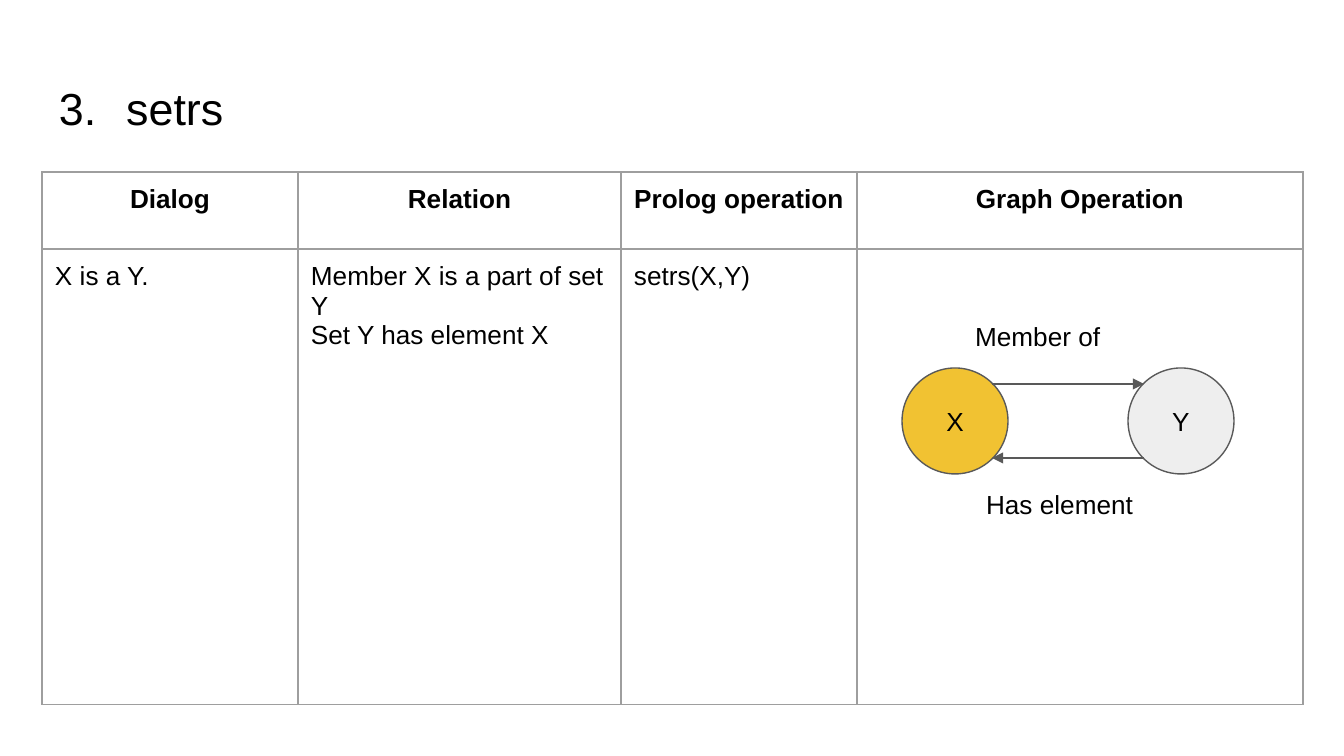
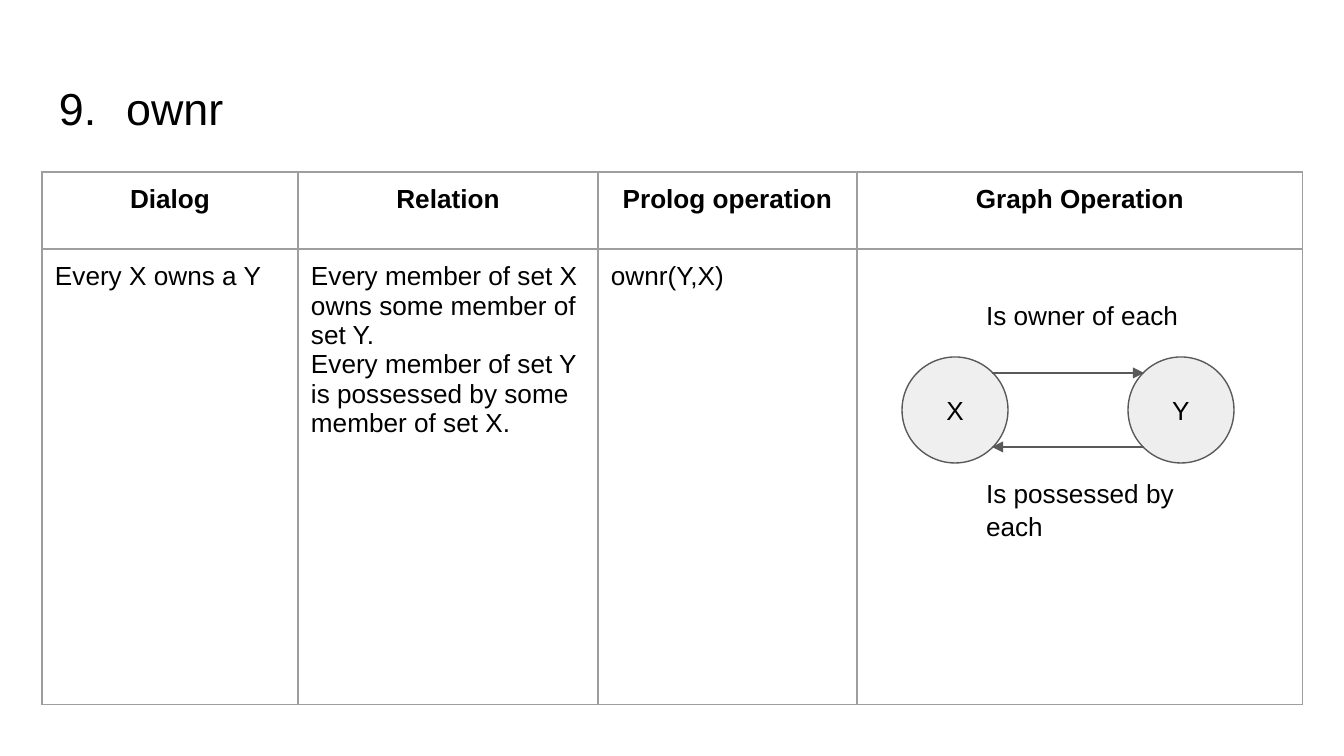
"""Builds two slides that tabulate a dialog relation and draw its graph."""
from math import sqrt

from lxml import etree
from pptx import Presentation
from pptx.dml.color import RGBColor
from pptx.enum.shapes import MSO_CONNECTOR, MSO_SHAPE
from pptx.enum.text import MSO_ANCHOR, PP_ALIGN
from pptx.oxml.ns import qn
from pptx.util import Emu, Pt

CENTER, LEFT = PP_ALIGN.CENTER, PP_ALIGN.LEFT
TOP, MIDDLE = MSO_ANCHOR.TOP, MSO_ANCHOR.MIDDLE
OVAL, STRAIGHT = MSO_SHAPE.OVAL, MSO_CONNECTOR.STRAIGHT

COLORS = {
    "text": "000000",
    "border": "9E9E9E",
    "line": "595959",
    "gold": "F1C232",
    "pale": "EFEFEF",
    "gray": "EEEEEE",
}
FONT = "Arial"
HEADERS = ["Dialog", "Relation", "Prolog operation", "Graph Operation"]
SLIDES = [
    {
        "title": "3.\tsetrs",
        "cols": [256, 323, 236, 446],
        "cells": [
            ["X is a Y."],
            ["Member X is a part of set Y", "Set Y has element X"],
            ["setrs(X,Y)"],
        ],
        "node_top": 368,
        "nodes": [("X", "gold"), ("Y", "gray")],
        "labels": [("Member of", 962, 306, 50), ("Has element", 973, 474, 50)],
    },
    {
        "title": "9.\townr",
        "cols": [256, 300, 259, 446],
        "cells": [
            ["Every X owns a Y"],
            ["Every member of set X owns some member of set Y.",
             "Every member of set Y is possessed by some member of set X."],
            ["ownr(Y,X)"],
        ],
        "node_top": 357,
        "nodes": [("X", "pale"), ("Y", "gray")],
        "labels": [("Is owner of each", 973, 285, 50),
                   ("Is possessed by each", 973, 463, 84)],
    },
]

SLIDE_W, SLIDE_H = 1344, 756
TITLE_BOX = (46, 66, 1252, 84)
TABLE_X, TABLE_Y = 42, 172
ROWS = [77, 152, 152, 152]
INSET = 13
NODE_X, NODE_STEP, NODE_SIZE = 902, 226, 106
LABEL_W = 219


def px(n):
    return Emu(round(n * 914400 / 134.4))


def rgb(name):
    return RGBColor.from_string(COLORS[name])


def write(tf, lines, size=14, bold=False, align=LEFT, spacing=None):
    tf.word_wrap = True
    for i, line in enumerate(lines):
        p = tf.paragraphs[0] if i == 0 else tf.add_paragraph()
        p.text = line
        p.alignment = align
        p.line_spacing = spacing
        p.font.name, p.font.size, p.font.bold = FONT, Pt(size), bold
        p.font.color.rgb = rgb("text")


def set_insets(box):
    box.margin_left = box.margin_right = px(INSET)
    box.margin_top = box.margin_bottom = px(INSET)


def add_text(s, box, text, anchor=TOP, **style):
    tf = s.shapes.add_textbox(*map(px, box)).text_frame
    set_insets(tf)
    tf.vertical_anchor = anchor
    write(tf, [text], **style)


def style_cell(cell):
    set_insets(cell)
    tcPr = cell._tc.get_or_add_tcPr()
    for side in ("lnL", "lnR", "lnT", "lnB"):
        ln = etree.SubElement(tcPr, qn(f"a:{side}"), w=str(Pt(0.75)))
        fill = etree.SubElement(ln, qn("a:solidFill"))
        etree.SubElement(fill, qn("a:srgbClr"), val=COLORS["border"])
    cell.fill.background()


def add_relation_table(s, cols, cells):
    frame = s.shapes.add_table(len(ROWS), len(cols), px(TABLE_X), px(TABLE_Y),
                               px(sum(cols)), px(sum(ROWS)))
    table = frame.table
    table.first_row = table.horz_banding = False
    for column, width in zip(table.columns, cols):
        column.width = px(width)
    for row, height in zip(table.rows, ROWS):
        row.height = px(height)
    for cell in table.iter_cells():
        style_cell(cell)
    for c, header in enumerate(HEADERS):
        write(table.cell(0, c).text_frame, [header], bold=True, align=CENTER)
        table.cell(1, c).merge(table.cell(len(ROWS) - 1, c))
    for c, lines in enumerate(cells):
        write(table.cell(1, c).text_frame, lines)


def add_node(s, x, y, name, color):
    sp = s.shapes.add_shape(OVAL, px(x), px(y), px(NODE_SIZE), px(NODE_SIZE))
    sp.shadow.inherit = False
    sp.fill.solid()
    sp.fill.fore_color.rgb = rgb(color)
    sp.line.color.rgb = rgb("line")
    sp.line.width = Pt(0.75)
    set_insets(sp.text_frame)
    sp.text_frame.vertical_anchor = MIDDLE
    write(sp.text_frame, [name], align=CENTER)


def add_arrow(s, x1, x2, y):
    arrow = s.shapes.add_connector(STRAIGHT, px(x1), px(y), px(x2), px(y))
    arrow.line.color.rgb = rgb("line")
    arrow.line.width = Pt(1.5)
    etree.SubElement(arrow.line._get_or_add_ln(), qn("a:tailEnd"), type="triangle")
    etree.SubElement(arrow._element.spPr, qn("a:effectLst"))


def add_graph(s, top, nodes, labels):
    for i, (name, color) in enumerate(nodes):
        add_node(s, NODE_X + i * NODE_STEP, top, name, color)
    corner = round(NODE_SIZE * (1 - sqrt(0.5)) / 2)
    left = NODE_X + NODE_SIZE - corner
    right = NODE_X + NODE_STEP + corner
    add_arrow(s, left, right, top + corner)
    add_arrow(s, right, left, top + NODE_SIZE - corner)
    for text, x, y, height in labels:
        add_text(s, (x, y, LABEL_W, height), text, spacing=1.05)


def main():
    prs = Presentation()
    prs.slide_width, prs.slide_height = px(SLIDE_W), px(SLIDE_H)
    for content in SLIDES:
        s = prs.slides.add_slide(prs.slide_layouts[6])
        add_relation_table(s, content["cols"], content["cells"])
        add_graph(s, content["node_top"], content["nodes"], content["labels"])
        add_text(s, TITLE_BOX, content["title"], anchor=MIDDLE, size=24)
    prs.save("out.pptx")


if __name__ == "__main__":
    main()
